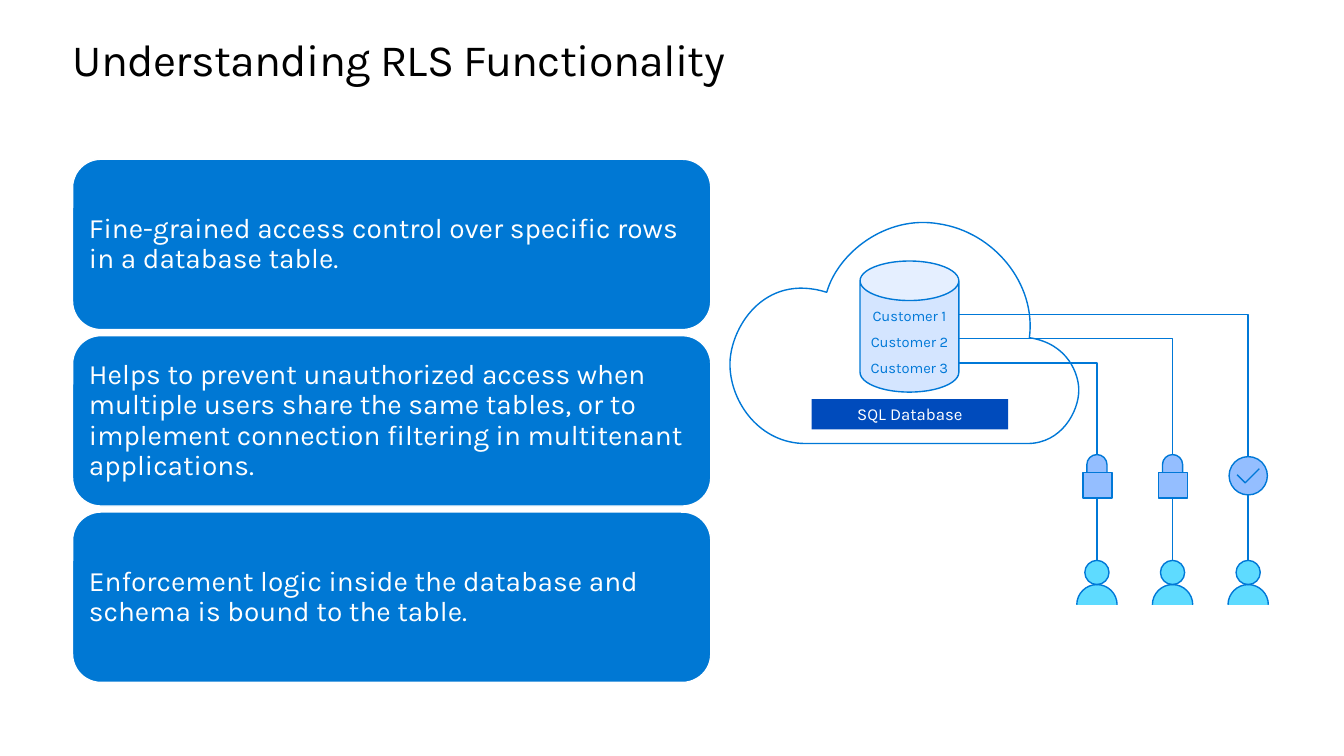
from math import cos, sin, radians
from lxml.etree import SubElement as Sub
from pptx import Presentation
from pptx.dml.color import RGBColor as RGB
from pptx.enum.shapes import MSO_CONNECTOR as Link, MSO_SHAPE as Kind
from pptx.enum.text import MSO_ANCHOR as Anchor, MSO_AUTO_SIZE as Auto, PP_ALIGN as Align
from pptx.oxml.ns import qn
from pptx.util import Inches, Pt

TITLE = "Understanding RLS Functionality"
CARDS = [
    "Fine-grained access control over specific rows in a database table.",
    "Helps to prevent unauthorized access when multiple users share the same tables, "
    "or to implement connection filtering in multitenant applications.",
    "Enforcement logic inside the database and schema is bound to the table.",
]
ROWS = ["Customer 1", "Customer 2", "Customer 3"]
LABEL = "SQL Database"
LOCKED = [True, True, False]

FONT = "Karla"
BLUE, EDGE, NAVY, PALE = "0078D4", "0078D7", "004BBC", "D4E5FF"
SOFT, CYAN, WHITE, BLACK = "94BEFF", "5EDBFF", "FFFFFF", "000000"

CLOUD = [
    [(9.31, 2.22)],
    [(9.86, 2.3), (10.28, 2.82), (10.21, 3.35)],
    [(10.6, 3.41), (10.7, 3.72), (10.7, 3.87)],
    [(10.7, 4.08), (10.53, 4.4), (10.19, 4.4)],
    [(7.99, 4.4)],
    [(7.54, 4.4), (7.25, 4), (7.24, 3.63)],
    [(7.23, 3.27), (7.57, 2.7), (8.2, 2.9)],
    [(8.31, 2.51), (8.79, 2.13), (9.31, 2.22)],
]
USER_X, USER_GAP, USER_Y = 10.88, 0.75, 5.56
WIRE_X, WIRE_Y, WIRE_GAP = 9.51, 3.6, 0.24
ROUND = 0.55

prs = Presentation()
prs.slide_width, prs.slide_height = Inches(13.33), Inches(7.5)
slide = prs.slides.add_slide(prs.slide_layouts[5])
shapes = slide.shapes


def color(code):
    return RGB.from_string(code)


def paint(shape, fill=None, line=None):
    shape.shadow.inherit = False
    if fill:
        shape.fill.solid()
        shape.fill.fore_color.rgb = color(fill)
    else:
        shape.fill.background()
    if line:
        shape.line.color.rgb = color(line)
        shape.line.width = Pt(1)
    else:
        shape.line.fill.background()
    return shape


def block(kind, box, fill, line=None):
    return paint(shapes.add_shape(kind, *map(Inches, box)), fill, line)


def write(shape, lines, size, ink, align=Align.LEFT, pad=(0.1, 0.05, 0.1, 0.05), anchor=Anchor.MIDDLE):
    frame = shape.text_frame
    frame.word_wrap = True
    frame.vertical_anchor = anchor
    (frame.margin_left, frame.margin_top,
     frame.margin_right, frame.margin_bottom) = map(Inches, pad)
    for i, text in enumerate(lines):
        para = frame.add_paragraph() if i else frame.paragraphs[0]
        para.alignment = align
        if i:
            para.space_before = Pt(6)
        run = para.add_run()
        run.text = text
        run.font.name, run.font.size = FONT, Pt(size)
        run.font.color.rgb = color(ink)
    return frame


def arc(x, y, r, start, turns, way=1):
    def spot(angle, pull=0):
        c, s = cos(radians(angle)), sin(radians(angle))
        return x + r * (c - pull * s), y + r * (s + pull * c)

    steps = [[spot(start)]]
    for i in range(turns):
        a = start + 90 * way * i
        b = a + 90 * way
        steps.append([spot(a, ROUND * way), spot(b, -ROUND * way), spot(b)])
    return steps


def draw(parts, fill=None):
    pen, steps = None, []
    for part, close in parts:
        (x, y), *ends = [tuple(map(Inches, step[-1])) for step in part]
        if pen:
            pen.move_to(x, y)
        else:
            pen = shapes.build_freeform(x, y, 1.0)
        pen.add_line_segments(ends, close=close)
        steps += part[1:]
    shape = pen.convert_to_shape()
    nodes = list(shape._element.iter(qn("a:lnTo")))
    for node, step in zip(nodes, steps):
        if len(step) == 3:
            node.tag = qn("a:cubicBezTo")
            node.remove(node[0])
            for x, y in step:
                Sub(node, qn("a:pt"), x=str(Inches(x) - shape.left), y=str(Inches(y) - shape.top))
    return paint(shape, fill, EDGE)


def wire(x, y):
    link = shapes.add_connector(Link.ELBOW, *map(Inches, (WIRE_X, y, x, USER_Y)))
    link.line.color.rgb = color(EDGE)
    link.line.width = Pt(1)
    props = link._element.spPr
    guides = props.find(qn("a:prstGeom")).get_or_add_avLst()
    Sub(guides, qn("a:gd"), name="adj1", fmla="val 100000")
    Sub(props, qn("a:effectLst"))


def user(x):
    draw([(arc(x, 5.68, 0.12, 180, 4), True), (arc(x, 6, 0.2, 0, 2, -1), False)], CYAN)


def lock(x):
    hoop = [[(x - 0.1, 4.81)], *arc(x, 4.61, 0.1, 180, 2), [(x + 0.1, 4.81)]]
    draw([(hoop, False)], SOFT)
    block(Kind.RECTANGLE, (x - 0.14, 4.69, 0.29, 0.25), SOFT, EDGE)


def tick(x):
    block(Kind.OVAL, (x - 0.19, 4.53, 0.38, 0.38), SOFT, EDGE)
    mark = [[(x - 0.11, 4.71)], [(x - 0.03, 4.79)], [(x + 0.11, 4.65)]]
    draw([(mark, False)], SOFT)


title = shapes.title
title.left, title.top, title.width, title.height = map(Inches, (0.72, 0.35, 11.9, 0.5))
title.fill.solid()
title.fill.fore_color.rgb = color(WHITE)
frame = write(title, [TITLE], 32, BLACK, pad=(0, 0, 0, 0), anchor=Anchor.TOP)
frame.auto_size = Auto.SHAPE_TO_FIT_TEXT
frame.paragraphs[0].line_spacing = Pt(36.2)
frame.paragraphs[0].runs[0].font._element.set("spc", "-50")

for i, text in enumerate(CARDS):
    card = block(Kind.ROUNDED_RECTANGLE, (0.72, 1.58 + 1.75 * i, 6.33, 1.69), BLUE, WHITE)
    frame = write(card, [text], 20, WHITE, pad=(0.08,) * 4)
    frame.paragraphs[0].line_spacing = 0.9

label = block(Kind.RECTANGLE, (8.05, 3.96, 1.95, 0.3), NAVY)
write(label, [LABEL], 12, WHITE, Align.CENTER)

store = block(Kind.CAN, (8.53, 2.59, 0.98, 1.3), PALE, EDGE)
store.adjustments[0] = 0.4
write(store, ROWS, 10.5, EDGE, Align.CENTER, (0.1, 0.4, 0.1, 0.3))

spots = [USER_X + USER_GAP * i for i in range(len(LOCKED))]
for x in spots:
    user(x)
for i, x in enumerate(spots):
    wire(x, WIRE_Y - WIRE_GAP * i)

draw([(CLOUD, True)])

for x, shut in zip(spots, LOCKED):
    if shut:
        lock(x)
    else:
        tick(x)

prs.save("out.pptx")
